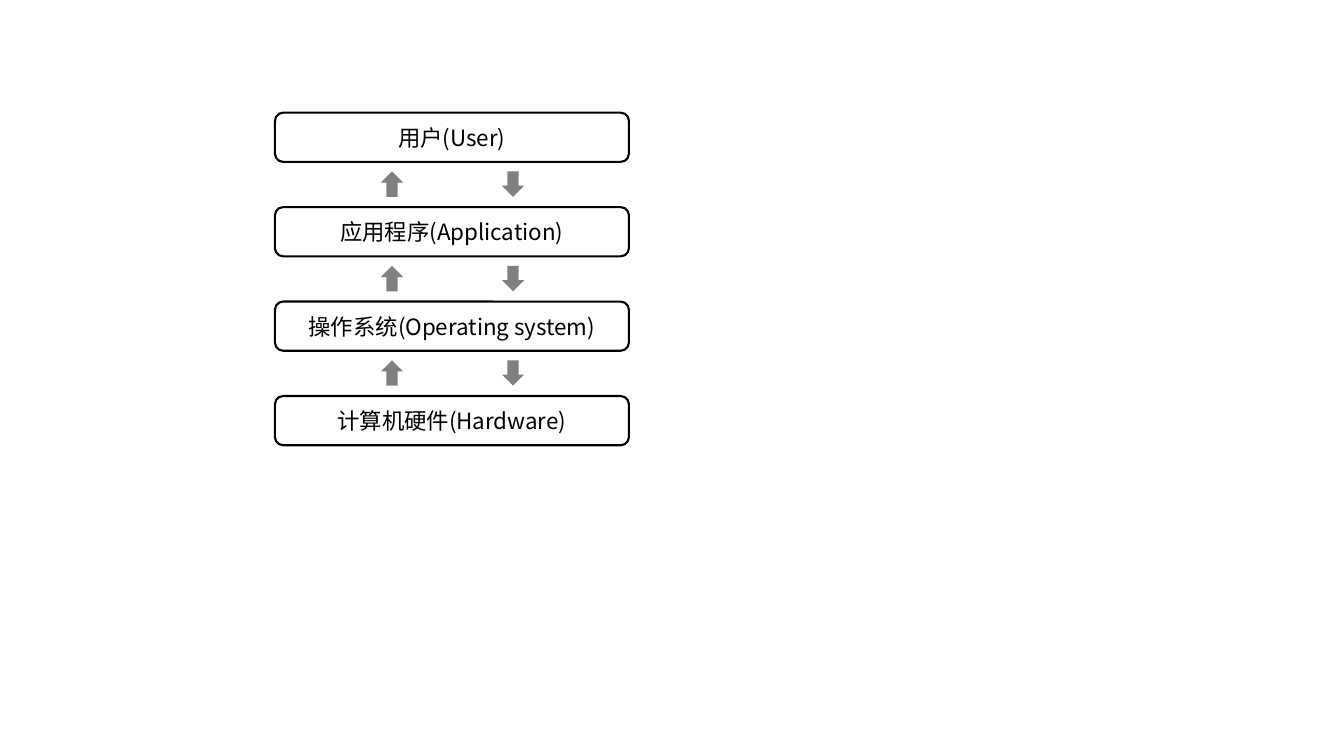
from lxml import etree
from pptx import Presentation
from pptx.dml.color import RGBColor
from pptx.enum.shapes import MSO_SHAPE as Shape
from pptx.enum.text import MSO_ANCHOR as Anchor, PP_ALIGN as Align
from pptx.oxml.ns import qn
from pptx.util import Cm, Pt

FONT = "Noto Sans CJK SC"
LAYERS = [
    "用户(User)",
    "应用程序(Application)",
    "操作系统(Operating system)",
    "计算机硬件(Hardware)",
]
LAYER_LEFT, LAYER_TOP = 6.93, 2.84
LAYER_WIDTH, LAYER_HEIGHT = 8.92, 1.24
LAYER_PITCH = 2.38
ARROW_WIDTH, ARROW_HEIGHT = 0.56, 0.64
ARROW_OFFSET = 1.48
UP_LEFT, DOWN_LEFT = 9.6, 12.65


def color(hex_string):
    return RGBColor.from_string(hex_string)


def add_layer(slide, text, top):
    shape = slide.shapes.add_shape(
        Shape.ROUNDED_RECTANGLE,
        Cm(LAYER_LEFT), Cm(top), Cm(LAYER_WIDTH), Cm(LAYER_HEIGHT),
    )
    shape.shadow.inherit = False
    shape.fill.background()
    shape.line.color.rgb = color("000000")
    shape.line.width = Pt(1.5)

    frame = shape.text_frame
    frame.word_wrap = True
    frame.vertical_anchor = Anchor.MIDDLE
    frame.margin_left = frame.margin_right = Cm(0.1)
    frame.margin_top = frame.margin_bottom = Cm(0.1)

    paragraph = frame.paragraphs[0]
    paragraph.text = text
    paragraph.alignment = Align.CENTER
    font = paragraph.font
    font.name = FONT
    font.size = Pt(16)
    font.color.rgb = color("000000")
    properties = paragraph._p.pPr.find(qn("a:defRPr"))
    etree.SubElement(properties, qn("a:ea"), typeface=FONT)


def add_arrow(slide, left, top, rotation=0):
    shape = slide.shapes.add_shape(
        Shape.DOWN_ARROW,
        Cm(left), Cm(top), Cm(ARROW_WIDTH), Cm(ARROW_HEIGHT),
    )
    shape.rotation = rotation
    shape.shadow.inherit = False
    shape.fill.solid()
    shape.fill.fore_color.rgb = color("808080")
    shape.line.fill.background()


def main():
    presentation = Presentation()
    presentation.slide_width = Cm(33.87)
    presentation.slide_height = Cm(19.05)
    slide = presentation.slides.add_slide(presentation.slide_layouts[6])

    tops = [LAYER_TOP + row * LAYER_PITCH for row in range(len(LAYERS))]
    for text, top in zip(LAYERS, tops):
        add_layer(slide, text, top)
    for top in tops[:-1]:
        add_arrow(slide, UP_LEFT, top + ARROW_OFFSET, rotation=180)
        add_arrow(slide, DOWN_LEFT, top + ARROW_OFFSET)

    presentation.save("out.pptx")


if __name__ == "__main__":
    main()
